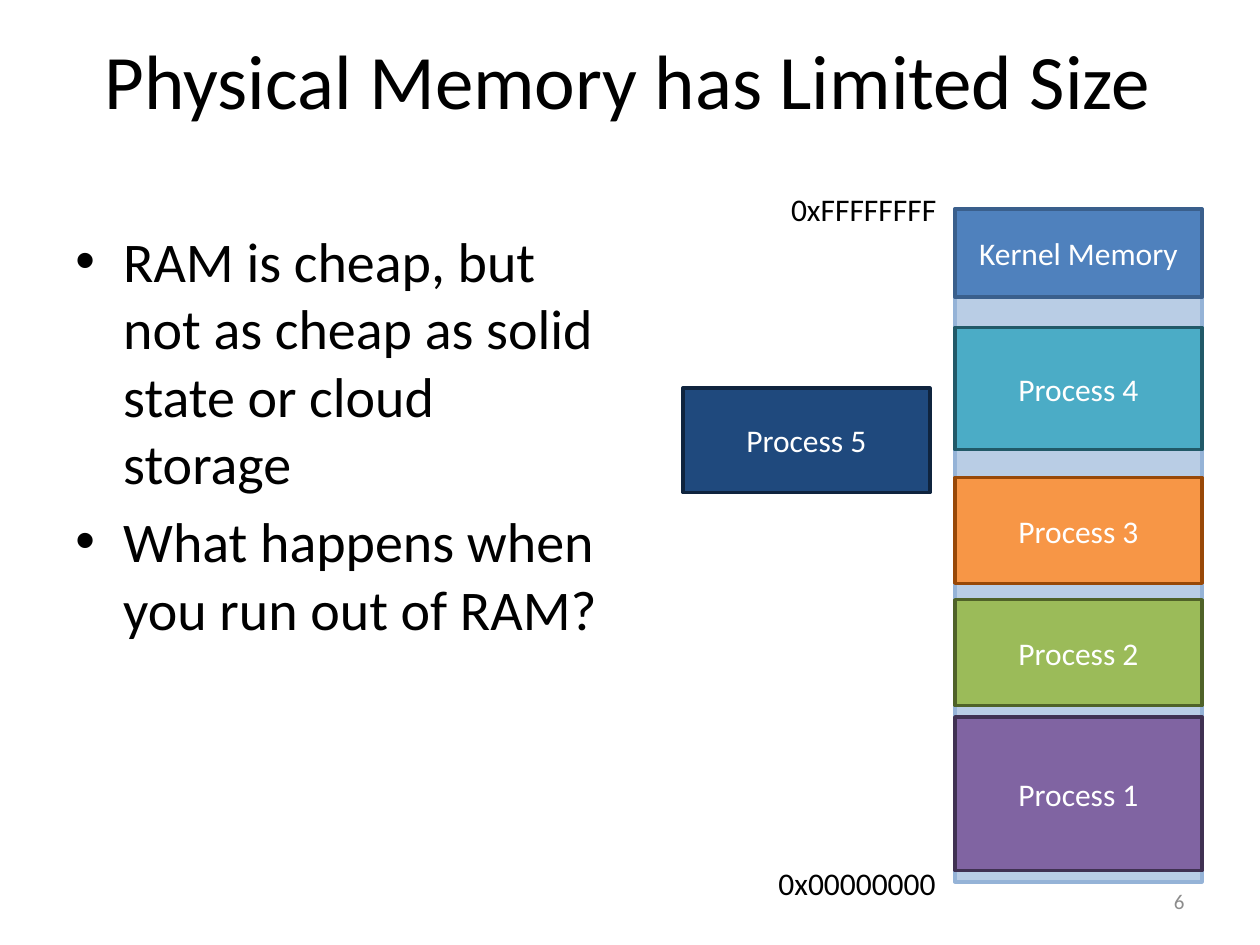
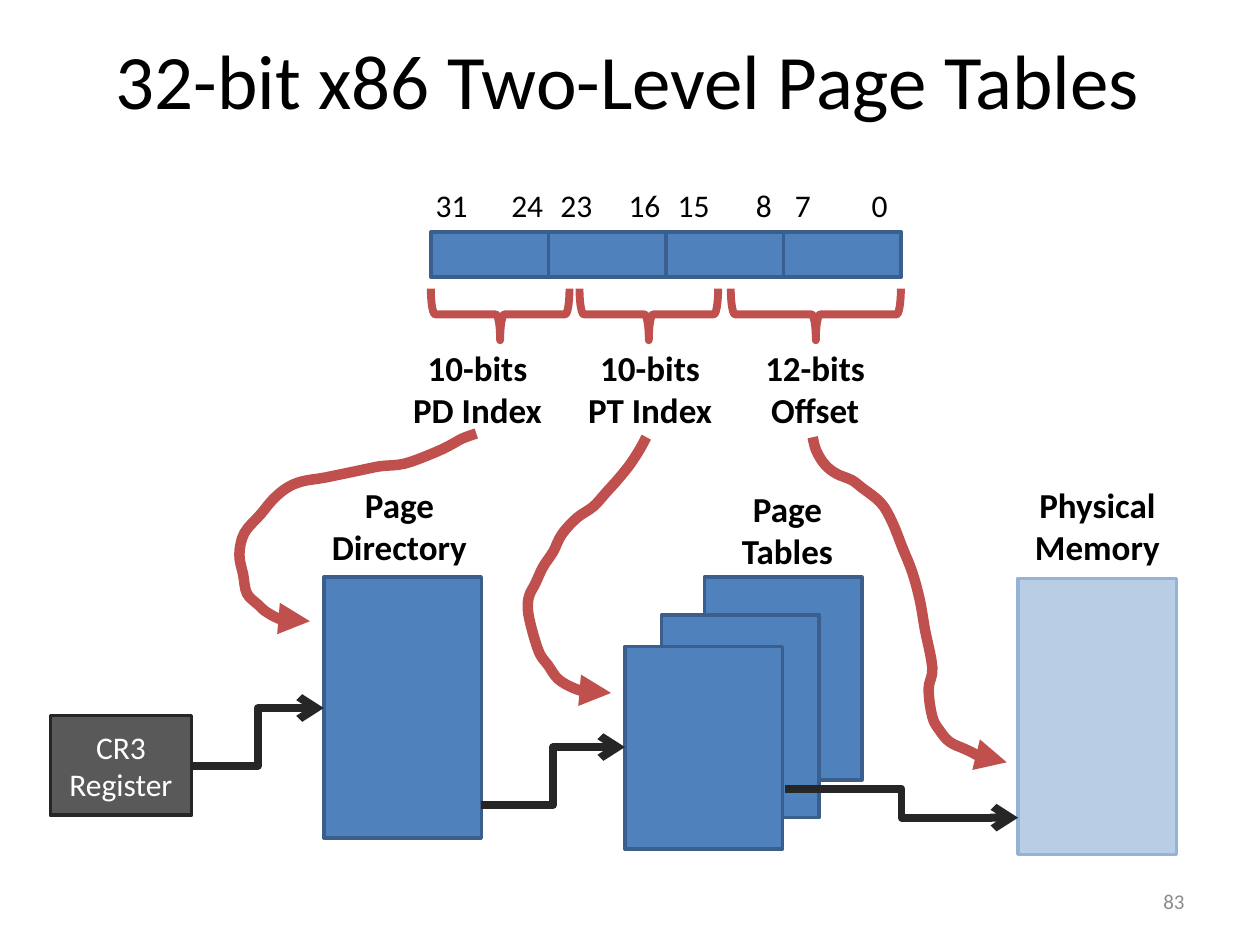
from lxml.etree import SubElement
from pptx import Presentation
from pptx.dml.color import RGBColor
from pptx.enum.shapes import MSO_CONNECTOR, MSO_SHAPE
from pptx.enum.text import MSO_ANCHOR, PP_ALIGN
from pptx.oxml.ns import qn
from pptx.util import Inches, Pt

# Colours
BLACK = RGBColor(0x00, 0x00, 0x00)
WHITE = RGBColor(0xFF, 0xFF, 0xFF)
GREY = RGBColor(0x8C, 0x8C, 0x8C)
DARK = RGBColor(0x26, 0x26, 0x26)
STONE = RGBColor(0x59, 0x59, 0x59)
RED = RGBColor(0xC0, 0x50, 0x4D)
BLUE = (RGBColor(0x4F, 0x81, 0xBD), RGBColor(0x3A, 0x5F, 0x8C))
PALE = (RGBColor(0xB9, 0xCD, 0xE5), RGBColor(0x95, 0xB3, 0xD7))
PLUM = (RGBColor(0x80, 0x64, 0xA2), RGBColor(0x40, 0x31, 0x52))
GREEN = (RGBColor(0x9B, 0xBB, 0x59), RGBColor(0x4F, 0x62, 0x28))
AMBER = (RGBColor(0xF7, 0x96, 0x46), RGBColor(0x98, 0x48, 0x07))
TEAL = (RGBColor(0x4B, 0xAC, 0xC6), RGBColor(0x21, 0x59, 0x68))
NAVY = (RGBColor(0x1F, 0x49, 0x7D), RGBColor(0x0F, 0x24, 0x3E))

# Text formats
HEAD = {"name": "Calibri", "size": Pt(44), "color": BLACK}
BODY = HEAD | {"size": Pt(32)}
NOTE = HEAD | {"size": Pt(18)}
LABEL = HEAD | {"size": Pt(20), "bold": True}
BLOCK = NOTE | {"color": WHITE}
FOOT = HEAD | {"size": Pt(12), "color": GREY}

# Slide 1 content; the grid has 10 columns and 7.5 rows
LIMIT = "Physical Memory has Limited Size"
POINTS = [
    "RAM is cheap, but not as cheap as solid state or cloud storage",
    "What happens when you run out of RAM?",
]
RAM = (7.58, 1.66, 1.96, 5.34)
ENDS = [("0x00000000", 6.08, 6.81, 1.46), ("0xFFFFFFFF", 6.18, 1.46, 1.36)]
PARTS = [  # text, left, top, height, colours
    ("Kernel Memory", RAM[0], RAM[1], 0.7, BLUE),
    ("Process 1", RAM[0], 5.69, 1.22, PLUM),
    ("Process 2", RAM[0], 4.76, 0.84, GREEN),
    ("Process 3", RAM[0], 3.79, 0.84, AMBER),
    ("Process 4", RAM[0], 2.6, 0.97, TEAL),
    ("Process 5", 5.42, 3.08, 0.83, NAVY),
]

# Slide 2 content
LEVELS = "32-bit x86 Two-Level Page Tables"
WORD = (3.42, 1.84, 3.73, 0.36)
BYTES = 4
BITS = [("31", 3.36), ("24", 3.96), ("23", 4.35), ("16", 4.89),
        ("15", 5.28), ("8", 5.9), ("7", 6.21), ("0", 6.82)]
SPANS = [(3.42, 4.52), (4.6, 5.7), (5.8, 7.15)]
LABELS = [  # lines, centre, top, width
    (["10-bits", "PD Index"], 3.79, 2.7, 1.24),
    (["10-bits", "PT Index"], 5.16, 2.7, 1.2),
    (["12-bits", "Offset"], 6.47, 2.7, 1),
    (["Page", "Directory"], 3.17, 3.79, 1.28),
    (["Page", "Tables"], 6.25, 3.82, 0.93),
    (["Physical", "Memory"], 8.71, 3.79, 1.2),
]
TABLES = [
    ((2.57, 4.58, 1.25, 2.07), BLUE),
    ((5.59, 4.58, 1.25, 1.61), BLUE),
    ((5.25, 4.88, 1.25, 1.61), BLUE),
    ((4.96, 5.13, 1.25, 1.61), BLUE),
    ((8.08, 4.59, 1.26, 2.19), PALE),
]
LINKS = [(1.52, 6.08, 2.57, 5.62), (3.82, 6.39, 4.96, 5.93),
         (6.23, 6.26, 8.08, 6.49)]
TRAILS = [
    [(3.78, 3.44), (3.67, 3.48), (3.56, 3.54), (3.43, 3.6), (3.21, 3.68),
     (3.02, 3.7), (2.87, 3.73), (2.58, 3.79), (2.4, 3.82), (2.28, 3.87),
     (2.17, 3.96), (2.07, 4.08), (1.94, 4.23), (1.9, 4.4), (1.93, 4.56),
     (1.96, 4.71), (2.05, 4.8), (2.12, 4.86), (2.25, 4.92), (2.46, 4.93)],
    [(5.13, 3.47), (5.07, 3.58), (4.99, 3.7), (4.9, 3.81), (4.81, 3.91),
     (4.71, 4.02), (4.58, 4.11), (4.46, 4.24), (4.39, 4.38), (4.31, 4.5),
     (4.25, 4.63), (4.2, 4.73), (4.19, 4.84), (4.22, 4.99), (4.28, 5.18),
     (4.35, 5.28), (4.43, 5.39), (4.55, 5.46), (4.66, 5.49), (4.85, 5.5)],
    [(6.45, 3.47), (6.48, 3.58), (6.55, 3.69), (6.64, 3.76), (6.76, 3.81),
     (6.84, 3.87), (6.99, 3.99), (7.08, 4.14), (7.16, 4.34), (7.24, 4.54),
     (7.3, 4.76), (7.34, 4.99), (7.4, 5.3), (7.37, 5.47), (7.4, 5.69),
     (7.46, 5.8), (7.54, 5.89), (7.67, 5.95), (7.84, 6.03), (7.99, 6.05)],
]

deck = Presentation()
deck.slide_width, deck.slide_height = Inches(10), Inches(7.5)
CELL = deck.slide_width / 10


def emu(*cells):
    return [round(c * CELL) for c in cells]


def style(font, form):
    for key, value in form.items():
        if key == "color":
            font.color.rgb = value
        else:
            setattr(font, key, value)


def write(frame, lines, form, align=PP_ALIGN.LEFT, anchor=MSO_ANCHOR.TOP):
    frame.vertical_anchor = anchor
    for i, line in enumerate(lines):
        para = frame.add_paragraph() if i else frame.paragraphs[0]
        para.alignment = align
        run = para.add_run()
        run.text = line
        style(run.font, form)


def note(page, area, lines, form, wrap=False, **place):
    frame = page.shapes.add_textbox(*emu(*area)).text_frame
    frame.word_wrap = wrap
    write(frame, lines, form, **place)
    return frame


def block(page, area, tone, lines=(), kind=MSO_SHAPE.RECTANGLE):
    shape = page.shapes.add_shape(kind, *emu(*area))
    shape.shadow.inherit = False
    shape.fill.solid()
    shape.fill.fore_color.rgb, edge = tone
    stroke(shape, edge, 2)
    write(shape.text_frame, lines, BLOCK, PP_ALIGN.CENTER, MSO_ANCHOR.MIDDLE)


def stroke(shape, tone, width, tip=None):
    shape.line.color.rgb = tone
    shape.line.width = Pt(width)
    if tip:
        line = shape.line._get_or_add_ln()
        SubElement(line, qn("a:round"))
        SubElement(line, qn("a:tailEnd"), type=tip)


def start(title, number):
    page = deck.slides.add_slide(deck.slide_layouts[5])
    head = page.shapes.title
    head.left, head.top, head.width, head.height = emu(0.05, 0, 9.87, 1.25)
    write(head.text_frame, [title], HEAD, PP_ALIGN.CENTER, MSO_ANCHOR.MIDDLE)
    note(page, (7.17, 6.95, 2.33, 0.4), [number], FOOT, wrap=True,
         align=PP_ALIGN.RIGHT, anchor=MSO_ANCHOR.MIDDLE)
    return page


def bullets(page, area, lines):
    frame = note(page, area, lines, BODY, wrap=True)
    for i, para in enumerate(frame.paragraphs):
        props = para._p.get_or_add_pPr()
        props.set("marL", str(Inches(0.38)))
        props.set("indent", str(-Inches(0.38)))
        SubElement(props, qn("a:buFont"), typeface="Arial")
        SubElement(props, qn("a:buChar"), char="•")
        if i:
            para.space_before = Pt(6.4)


def smooth(spots, steps=4):
    """Points on a Catmull-Rom curve through the spots."""
    ext = [spots[0], *spots, spots[-1]]
    for quad in zip(ext, ext[1:], ext[2:], ext[3:]):
        for t in (n / steps for n in range(1, steps + 1)):
            yield emu(*(
                b + t * (c - a) / 2 + t * t * (a - 2.5 * b + 2 * c - d / 2)
                + t ** 3 * (1.5 * (b - c) + (d - a) / 2)
                for a, b, c, d in zip(*quad)))


def trail(page, spots):
    pen = page.shapes.build_freeform(*emu(*spots[0]))
    pen.add_line_segments(list(smooth(spots)), close=False)
    shape = pen.convert_to_shape()
    shape.shadow.inherit = False
    shape.fill.background()
    stroke(shape, RED, 6, "triangle")


def brace(page, left, right, top=2.29, deep=0.41):
    # The box is upright before its quarter turn about the centre
    span = right - left
    area = ((left + right - deep) / 2, top + (deep - span) / 2, deep, span)
    shape = page.shapes.add_shape(MSO_SHAPE.LEFT_BRACE, *emu(*area))
    shape.rotation = 270
    shape.shadow.inherit = False
    shape.fill.background()
    stroke(shape, RED, 4.5)


def link(page, ends):
    line = page.shapes.add_connector(MSO_CONNECTOR.ELBOW, *emu(*ends))
    stroke(line, DARK, 4.5, "arrow")
    SubElement(line._element.spPr, qn("a:effectLst"))


# Slide 1: memory map
page = start(LIMIT, "6")
bullets(page, (0.5, 1.75, 4.46, 4.95), POINTS)
block(page, RAM, PALE)
for text, left, top, wide in ENDS:
    note(page, (left, top, wide, 0.4), [text], NOTE)
for text, left, top, high, tone in PARTS:
    block(page, (left, top, RAM[2], high), tone, [text])

# Slide 2: address word and its fields
page = start(LEVELS, "83")
left, top, wide, high = WORD
step = wide / BYTES
for i in range(BYTES):
    block(page, (left + i * step, top, step, high), BLUE,
          kind=MSO_SHAPE.FLOWCHART_PROCESS)
for text, x in BITS:
    note(page, (x, 1.43, 0.2 + 0.13 * len(text), 0.4), [text], NOTE)
for span in SPANS:
    brace(page, *span)

# Tables, register and arrows
for area, tone in TABLES:
    block(page, area, tone)
for lines, mid, top, wide in LABELS:
    note(page, (mid - wide / 2, top, wide, 0.77), lines, LABEL,
         align=PP_ALIGN.CENTER)
block(page, (0.4, 5.68, 1.12, 0.79), (STONE, DARK), ["CR3", "Register"],
      MSO_SHAPE.FLOWCHART_PROCESS)
for ends in LINKS:
    link(page, ends)
for spots in TRAILS:
    trail(page, spots)

deck.save("out.pptx")
